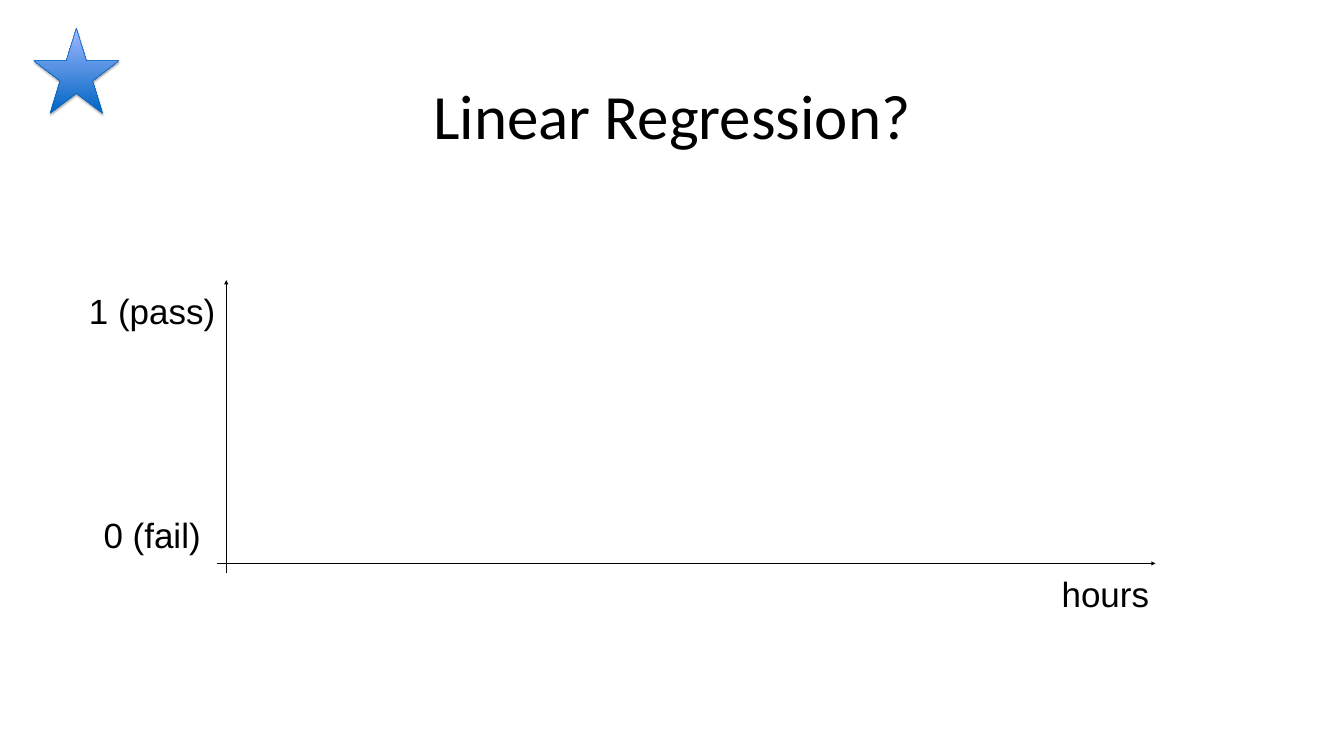
from lxml.etree import SubElement
from pptx import Presentation
from pptx.dml.color import RGBColor
from pptx.enum.shapes import MSO_CONNECTOR, MSO_SHAPE
from pptx.enum.text import MSO_ANCHOR, PP_ALIGN
from pptx.oxml.ns import qn
from pptx.util import Inches, Pt

COLORS = {"ink": "000000", "star_dark": "0065C3", "star_light": "A0B8FF",
          "star_line": "0063BF"}

TITLE = ("Linear Regression?", (4.02, 0.39, 18.63, 3.75))
LABELS = [  # text, (left, top, width, height)
    ("hours", (20.98, 11.29, 1.91, 0.99)),
    ("1 (pass)", (1.66, 5.66, 2.72, 0.99)),
    ("0 (fail)", (1.97, 10.11, 2.1, 0.99)),
]
AXES = [  # start x, start y, end x, end y
    (4.3, 11.18, 22.93, 11.18),
    (4.49, 11.37, 4.49, 5.56),
]
STAR = (0.67, 0.56, 1.69, 1.69)


def rgb(name):
    return RGBColor.from_string(COLORS[name])


def inches(values):
    return [Inches(v) for v in values]


def write(sp, text, font, size, wrap):
    tf = sp.text_frame
    tf.word_wrap = wrap
    tf.vertical_anchor = MSO_ANCHOR.MIDDLE
    tf.margin_left = tf.margin_right = Inches(0.08)
    tf.margin_top = tf.margin_bottom = Inches(0.08)
    p = tf.paragraphs[0]
    p.alignment = PP_ALIGN.CENTER
    r = p.add_run()
    r.text = text
    r.font.name = font
    r.font.size = Pt(size)
    r.font.color.rgb = rgb("ink")


def add_axis(s, ends):
    line = s.shapes.add_connector(MSO_CONNECTOR.STRAIGHT, *inches(ends))
    line.line.color.rgb = rgb("ink")
    line.line.width = Pt(2)
    SubElement(line.line._get_or_add_ln(), qn("a:tailEnd"), type="triangle")
    SubElement(line._element.spPr, qn("a:effectLst"))


def add_star(s, box):
    sp = s.shapes.add_shape(MSO_SHAPE.STAR_5_POINT, *inches(box))
    sp.fill.gradient()
    sp.fill.gradient_angle = 90
    for stop, name, pos in zip(sp.fill.gradient_stops,
                               ("star_dark", "star_light"), (0, 1)):
        stop.color.rgb = rgb(name)
        stop.position = pos
    sp.line.color.rgb = rgb("star_line")
    sp.line.width = Pt(0.75)
    # Soft shadow straight below
    sp.shadow.inherit = False
    effects = sp._element.spPr.find(qn("a:effectLst"))
    shadow = SubElement(effects, qn("a:outerShdw"), blurRad=str(Pt(3.1)),
                        dist=str(Pt(1.8)), dir="5400000", rotWithShape="0")
    color = SubElement(shadow, qn("a:srgbClr"), val=COLORS["ink"])
    SubElement(color, qn("a:alpha"), val="35000")


prs = Presentation()
prs.slide_width, prs.slide_height = inches((26.67, 15))
s = prs.slides.add_slide(prs.slide_layouts[5])

# Title
text, box = TITLE
title = s.shapes.title
title.left, title.top, title.width, title.height = inches(box)
write(title, text, "Calibri", 90, True)

# Axes and their labels
for ends in AXES:
    add_axis(s, ends)
for text, box in LABELS:
    write(s.shapes.add_textbox(*inches(box)), text, "Arial", 50, False)

# Star in the corner
add_star(s, STAR)

prs.save("out.pptx")
